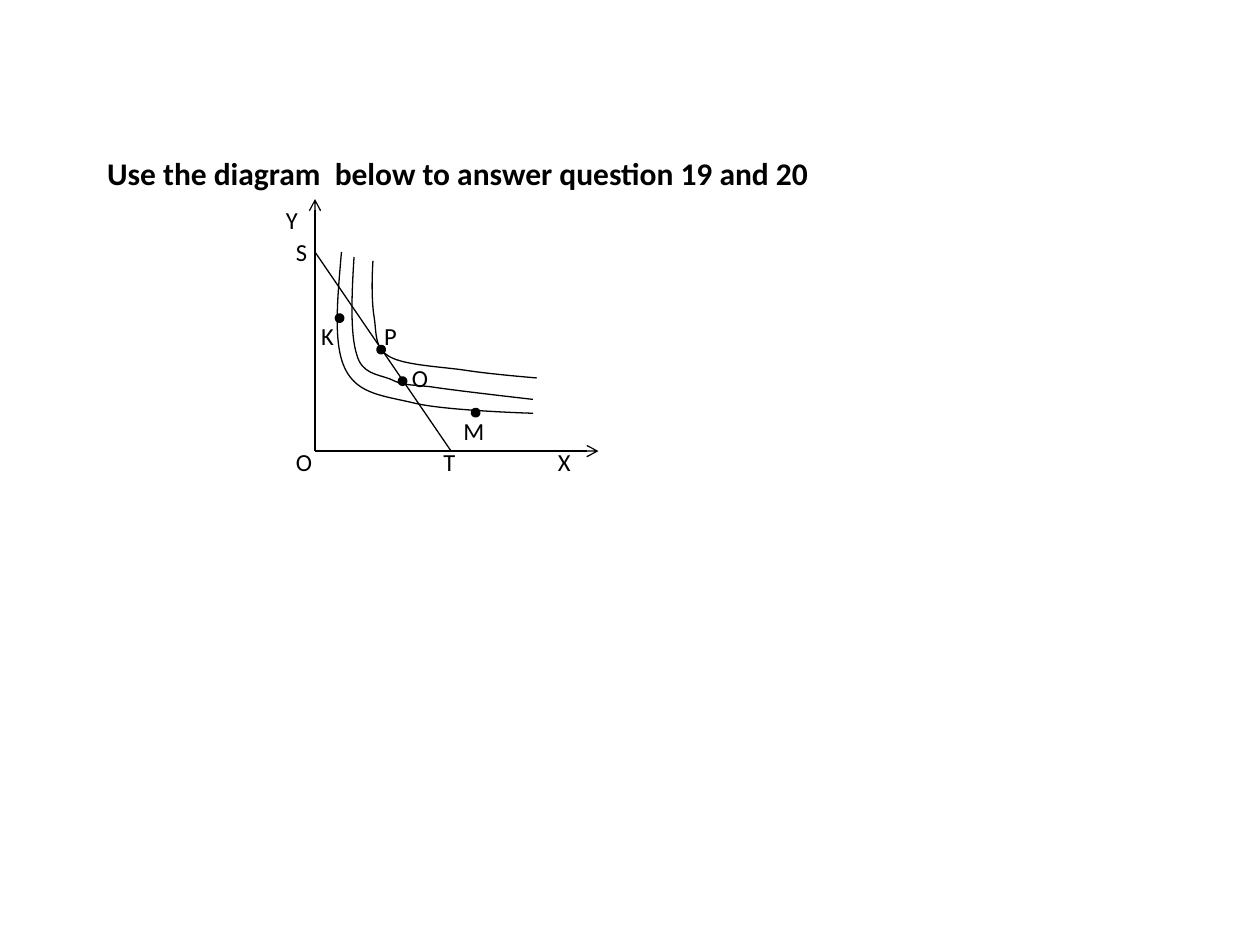
from dataclasses import dataclass
from typing import NamedTuple

from lxml import etree
from pptx import Presentation
from pptx.dml.color import RGBColor
from pptx.enum.shapes import MSO_CONNECTOR, MSO_SHAPE
from pptx.enum.text import MSO_ANCHOR, MSO_AUTO_SIZE, PP_ALIGN
from pptx.oxml.ns import qn
from pptx.util import Emu, Pt

STRAIGHT = MSO_CONNECTOR.STRAIGHT
OVAL = MSO_SHAPE.OVAL
TOP = MSO_ANCHOR.TOP
LEFT = PP_ALIGN.LEFT
FIT_TEXT = MSO_AUTO_SIZE.SHAPE_TO_FIT_TEXT
TITLE_ONLY = 5
PX = 9144  # EMU in one px, 100 px to the inch


@dataclass(frozen=True)
class Theme:
    ink: RGBColor = RGBColor(0, 0, 0)
    font: str = "Calibri"
    heading: Pt = Pt(18)
    label: Pt = Pt(14)
    thin: Pt = Pt(0.75)
    dot_line: Pt = Pt(2)


class Point(NamedTuple):
    x: int
    y: int


class Line(NamedTuple):
    start: Point
    end: Point
    arrow: bool = False


class Label(NamedTuple):
    text: str
    left: int
    top: int
    width: int


THEME = Theme()
ORIGIN = Point(250, 358)
DOT_SIZE = 5
LABEL_HEIGHT = 34

LINES = [
    Line(ORIGIN, Point(250, 158), arrow=True),
    Line(ORIGIN, Point(475, 358), arrow=True),
    Line(Point(250, 200), Point(358, 358)),  # budget line S to T
]

# Each curve: a start, then two control points and an end per segment
CURVES = [
    [(271, 200), (268, 236), (264, 273), (274, 293), (284, 313), (304, 314),
     (329, 320), (354, 326), (423, 328), (423, 328)],
    [(281, 204), (279, 235), (278, 265), (283, 281), (287, 297), (300, 297),
     (310, 301), (320, 306), (323, 305), (342, 307), (361, 310), (423, 317),
     (423, 317)],
    [(296, 207), (295, 223), (295, 240), (297, 252), (299, 265), (297, 276),
     (309, 283), (321, 290), (350, 291), (370, 294), (389, 297), (426, 300),
     (426, 300)],
]

DOTS = [Point(300, 275), Point(267, 250), Point(317, 300), Point(375, 325)]

LABELS = [
    Label("K", 245, 250, 30), Label("P", 295, 250, 30),
    Label("M", 358, 325, 37), Label("O", 317, 283, 33),
    Label("S", 225, 183, 29), Label("Y", 217, 158, 30),
    Label("T", 342, 350, 30), Label("X", 433, 350, 30),
    Label("O", 225, 350, 33),
]


def px(value: int) -> Emu:
    return Emu(value * PX)


def style_text(box, text: str, size: Pt, bold: bool = False) -> None:
    frame = box.text_frame
    frame.text = text
    frame.word_wrap = False
    frame.auto_size = FIT_TEXT
    frame.vertical_anchor = TOP
    para = frame.paragraphs[0]
    para.alignment = LEFT
    para.font.name = THEME.font
    para.font.size = size
    para.font.bold = bold
    para.font.color.rgb = THEME.ink


def draw_heading(page, text: str) -> None:
    title = page.shapes.title
    title.left, title.top, title.width, title.height = map(px, (75, 117, 587, 40))
    style_text(title, text, THEME.heading, bold=True)


def draw_line(page, line: Line) -> None:
    connector = page.shapes.add_connector(STRAIGHT, *map(px, line.start + line.end))
    connector.line.color.rgb = THEME.ink
    connector.line.width = THEME.thin
    if line.arrow:
        etree.SubElement(connector.line._get_or_add_ln(), qn("a:tailEnd"), type="arrow")
    etree.SubElement(connector.element.spPr, qn("a:effectLst"))


def draw_curve(page, points: list[tuple[int, int]]) -> None:
    builder = page.shapes.build_freeform(*points[0], scale=PX)
    builder.add_line_segments(points[1:], close=False)
    curve = builder.convert_to_shape()
    # Join every three straight steps into one cubic segment
    steps = list(curve.element.iter(qn("a:lnTo")))
    for first in range(0, len(steps), 3):
        bezier = etree.Element(qn("a:cubicBezTo"))
        steps[first].addprevious(bezier)
        for step in steps[first:first + 3]:
            bezier.append(step[0])
            step.getparent().remove(step)
    curve.fill.background()
    curve.line.color.rgb = THEME.ink
    curve.line.width = THEME.thin
    curve.shadow.inherit = False


def draw_dot(page, corner: Point) -> None:
    dot = page.shapes.add_shape(OVAL, *map(px, (*corner, DOT_SIZE, DOT_SIZE)))
    dot.fill.solid()
    dot.fill.fore_color.rgb = THEME.ink
    dot.line.color.rgb = THEME.ink
    dot.line.width = THEME.dot_line
    dot.shadow.inherit = False


def draw_label(page, label: Label) -> None:
    area = (label.left, label.top, label.width, LABEL_HEIGHT)
    box = page.shapes.add_textbox(*map(px, area))
    style_text(box, label.text, THEME.label)


def main() -> None:
    deck = Presentation()
    deck.slide_width, deck.slide_height = px(1000), px(750)
    page = deck.slides.add_slide(deck.slide_layouts[TITLE_ONLY])

    draw_heading(page, "Use the diagram  below to answer question 19 and 20")

    # Axes, budget line and indifference curves
    for line in LINES:
        draw_line(page, line)
    for points in CURVES:
        draw_curve(page, points)

    # Marked points and letters
    for corner in DOTS:
        draw_dot(page, corner)
    for label in LABELS:
        draw_label(page, label)

    deck.save("out.pptx")


if __name__ == "__main__":
    main()
